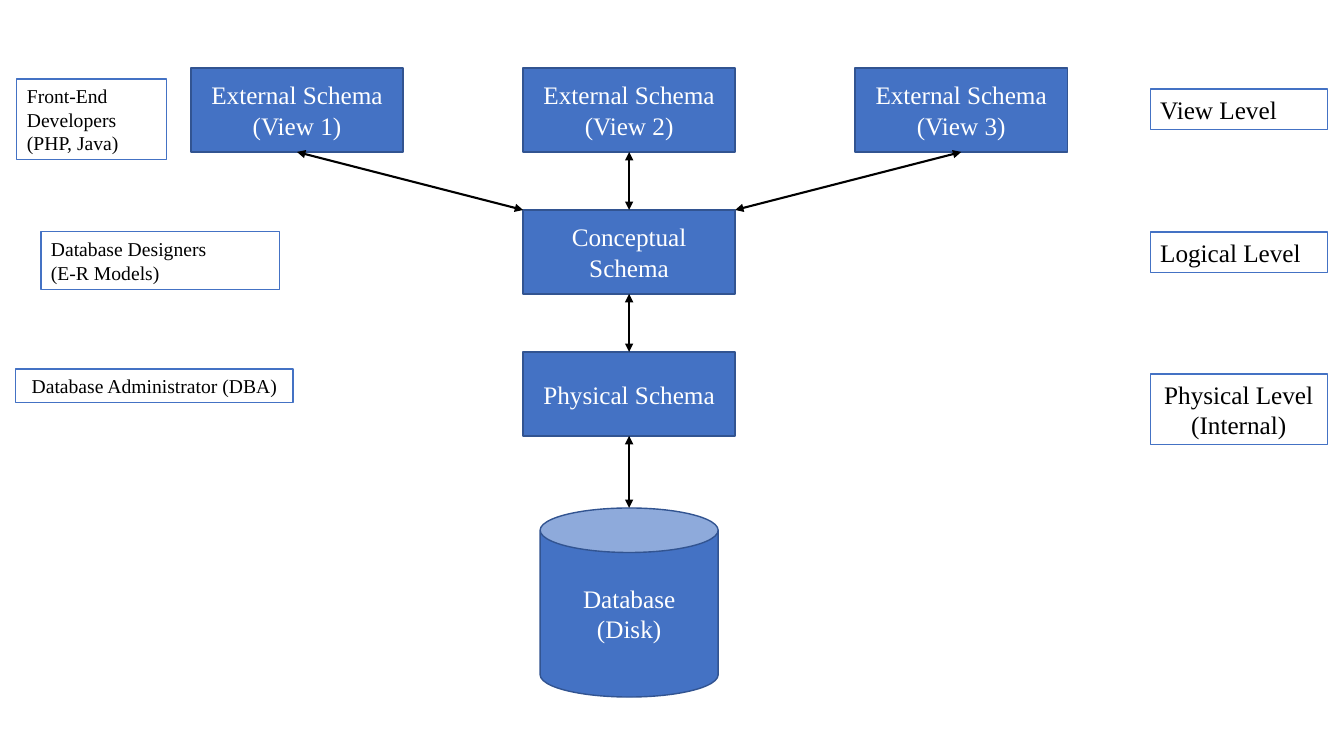
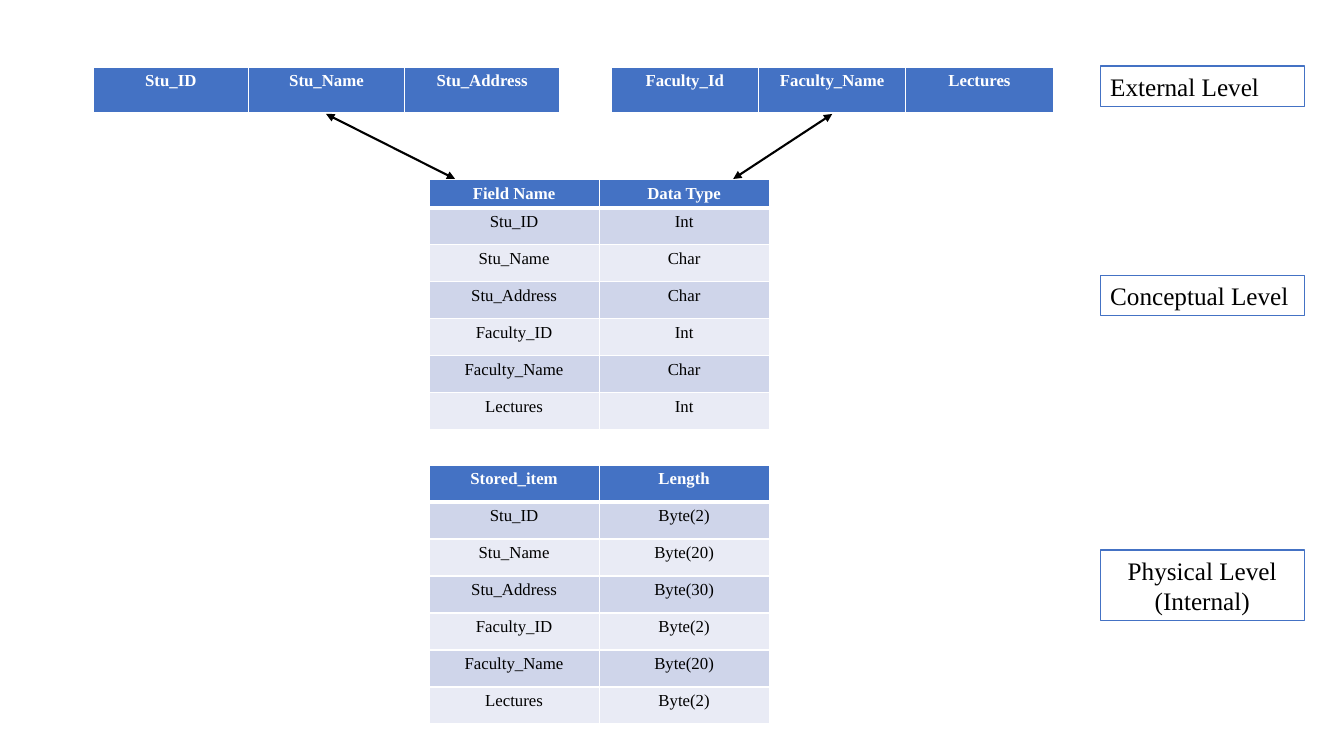
"""Two slides on the three levels of database schemas."""
from lxml.etree import SubElement as Sub
from pptx import Presentation
from pptx.dml.color import RGBColor
from pptx.enum.shapes import MSO_CONNECTOR as Conn, MSO_SHAPE as Shape
from pptx.enum.text import MSO_ANCHOR as Anchor, MSO_AUTO_SIZE as Auto, PP_ALIGN as Align
from pptx.oxml.ns import qn
from pptx.util import Emu, Inches, Pt

SCALE = 914400 / 100.8
FONT = "Times New Roman"
BLUE, EDGE, WHITE, BLACK = "4472C4", "325491", "FFFFFF", "000000"
BANDS = ("CFD5EA", "E9EBF5")
BOX_W, BOX_H = 212, 84
FIELDS = ("Stu_ID", "Stu_Name", "Stu_Address", "Faculty_ID", "Faculty_Name", "Lectures")
TYPES = ("Int", "Char", "Char", "Int", "Char", "Int")
BYTES = (2, 20, 30, 2, 20, 2)


def px(*nums):
    """Turn pixels into EMU."""
    return [Emu(round(n * SCALE)) for n in nums]


def paint(target, color):
    """Give a fill one solid colour."""
    target.solid()
    target.fore_color.rgb = RGBColor.from_string(color)


def stroke(line, color, width):
    """Set the colour and width of a line."""
    paint(line.fill, color)
    line.width = Pt(width)


def write(frame, text, size=18, color=BLACK, bold=False, align=Align.LEFT):
    """Write each line of text as one formatted paragraph."""
    frame.word_wrap = True
    for num, line in enumerate(text.split("\n")):
        para = frame.add_paragraph() if num else frame.paragraphs[0]
        para.alignment = align
        run = para.add_run()
        run.text = line
        font = run.font
        font.name, font.size, font.bold = FONT, Pt(size), bold
        font.color.rgb = RGBColor.from_string(color)


def block(slide, text, left, top, width=BOX_W, height=BOX_H, kind=Shape.RECTANGLE):
    """Add a blue shape with centred white text."""
    item = slide.shapes.add_shape(kind, *px(left, top, width, height))
    item.shadow.inherit = False
    paint(item.fill, BLUE)
    stroke(item.line, EDGE, 1)
    item.text_frame.vertical_anchor = Anchor.MIDDLE
    write(item.text_frame, text, color=WHITE, align=Align.CENTER)


def label(slide, text, left, top, width, height, **style):
    """Add a text box with a thin blue outline."""
    item = slide.shapes.add_textbox(*px(left, top, width, height))
    stroke(item.line, BLUE, 0.75)
    write(item.text_frame, text, **style)
    item.text_frame.auto_size = Auto.SHAPE_TO_FIT_TEXT


def arrow(slide, *ends):
    """Add a black line with a head at both ends."""
    item = slide.shapes.add_connector(Conn.STRAIGHT, *px(*ends))
    stroke(item.line, BLACK, 1.5)
    for tag in ("a:headEnd", "a:tailEnd"):
        Sub(item.line._get_or_add_ln(), qn(tag), type="triangle")
    Sub(item._element.spPr, qn("a:effectLst"))


def frame_cell(cell, base):
    """Draw white cell borders with a given width below."""
    props = cell._tc.get_or_add_tcPr()
    for side, width in zip("LRTB", (1, 1, 1, base)):
        edge = Sub(props, qn(f"a:ln{side}"), w=str(Pt(width)))
        Sub(Sub(edge, qn("a:solidFill")), qn("a:srgbClr"), val=WHITE)


def grid(slide, rows, left, top, width, head, step=37):
    """Add a table with a blue head and banded rows."""
    cols = len(rows[0])
    height = head + step * (len(rows) - 1)
    table = slide.shapes.add_table(len(rows), cols, *px(left, top, width, height)).table
    for col in table.columns:
        col.width = px(width / cols)[0]
    for num, row in enumerate(rows):
        table.rows[num].height = px(step if num else head)[0]
        for col, text in enumerate(row):
            cell = table.cell(num, col)
            frame_cell(cell, 1 if num else 3)
            paint(cell.fill, BANDS[(num - 1) % 2] if num else BLUE)
            write(cell.text_frame, text, size=12, bold=not num,
                  color=BLACK if num else WHITE, align=Align.CENTER)


def schemas(slide):
    """Draw the schema tree with its roles and levels."""
    left, mid, tops = 523, 629, (68, 210, 352)
    block(slide, "Database (Disk)", 540, 508, 178, 189, Shape.CAN)
    for num in range(3):
        block(slide, f"External Schema (View {num + 1})", 191 + 332 * num, tops[0])
    block(slide, "Conceptual Schema", left, tops[1])
    block(slide, "Physical Schema", left, tops[2])
    for num, end in enumerate((left, mid, left + BOX_W)):
        arrow(slide, 297 + 332 * num, tops[0] + BOX_H, end, tops[1])
    for top, end in zip(tops[1:], (tops[2], 508)):
        arrow(slide, mid, top + BOX_H, mid, end)
    label(slide, "View Level", 1150, 89, 177, 41)
    label(slide, "Logical Level", 1150, 232, 177, 41)
    label(slide, "Physical Level\n(Internal)", 1150, 374, 177, 71, align=Align.CENTER)
    label(slide, "Front-End Developers\n(PHP, Java)", 17, 79, 150, 81, size=14)
    label(slide, "Database Designers\n(E-R Models)", 41, 232, 238, 58, size=14)
    label(slide, "Database Administrator (DBA)", 16, 369, 277, 34, size=14, align=Align.CENTER)


def example(slide):
    """Draw the sample tables with their levels."""
    grid(slide, [FIELDS[:3]], 93, 67, 467, 47)
    grid(slide, [("Faculty_Id", *FIELDS[4:])], 611, 67, 442, 47)
    types = [("Field Name", "Data Type"), *zip(FIELDS, TYPES)]
    grid(slide, types, 429, 179, 340, 27)
    sizes = [("Stored_item", "Length"), *((f, f"Byte({n})") for f, n in zip(FIELDS, BYTES))]
    grid(slide, sizes, 429, 465, 340, 37)
    label(slide, "External Level", 1100, 66, 204, 41)
    label(slide, "Conceptual Level", 1100, 275, 204, 41)
    label(slide, "Physical Level\n(Internal)", 1100, 550, 204, 71, align=Align.CENTER)
    arrow(slide, 326, 114, 455, 179)
    arrow(slide, 733, 179, 832, 114)


def main():
    """Build both slides and save them."""
    deck = Presentation()
    deck.slide_width, deck.slide_height = Inches(13.33), Inches(7.5)
    for draw in (schemas, example):
        draw(deck.slides.add_slide(deck.slide_layouts[6]))
    deck.save("out.pptx")


main()
